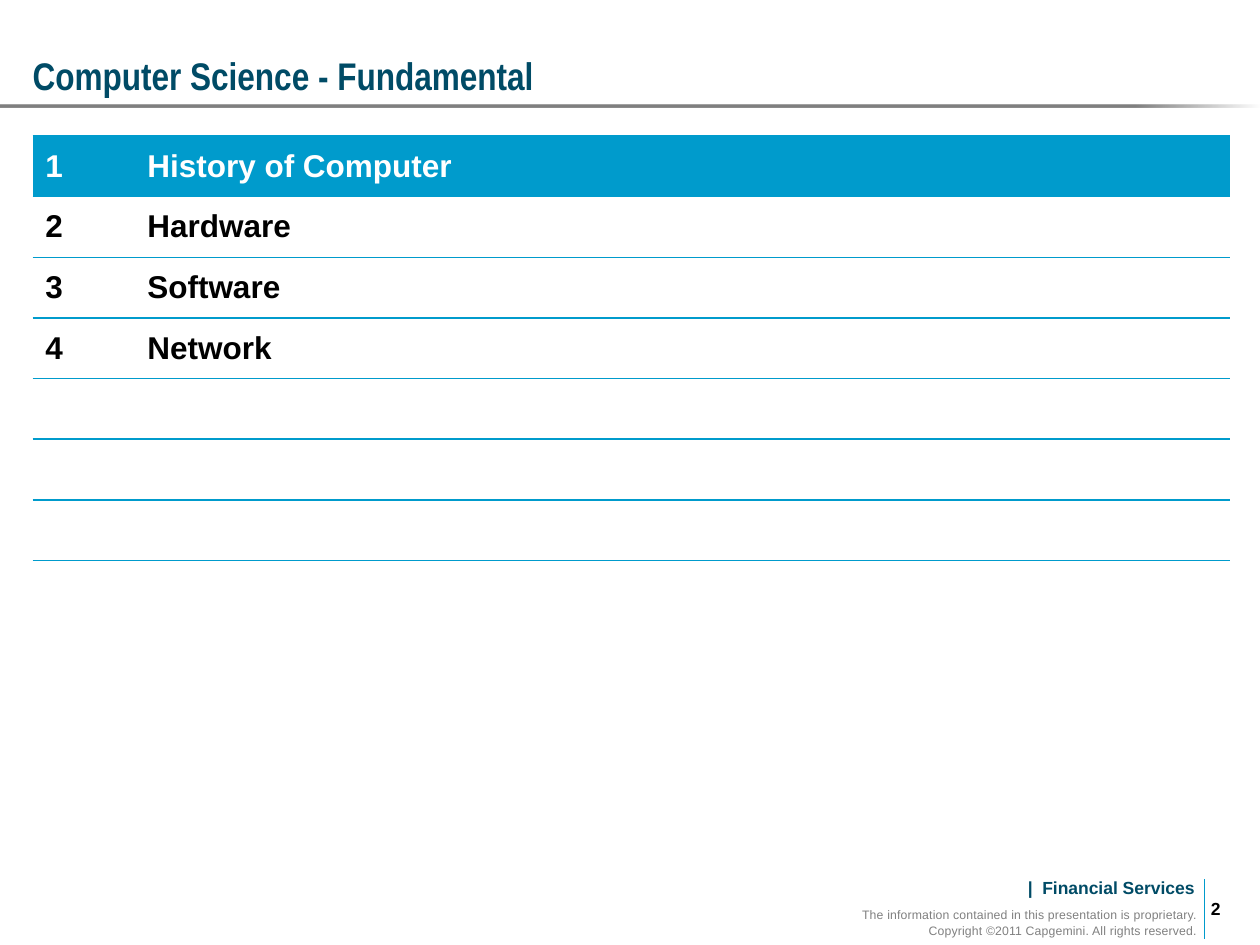
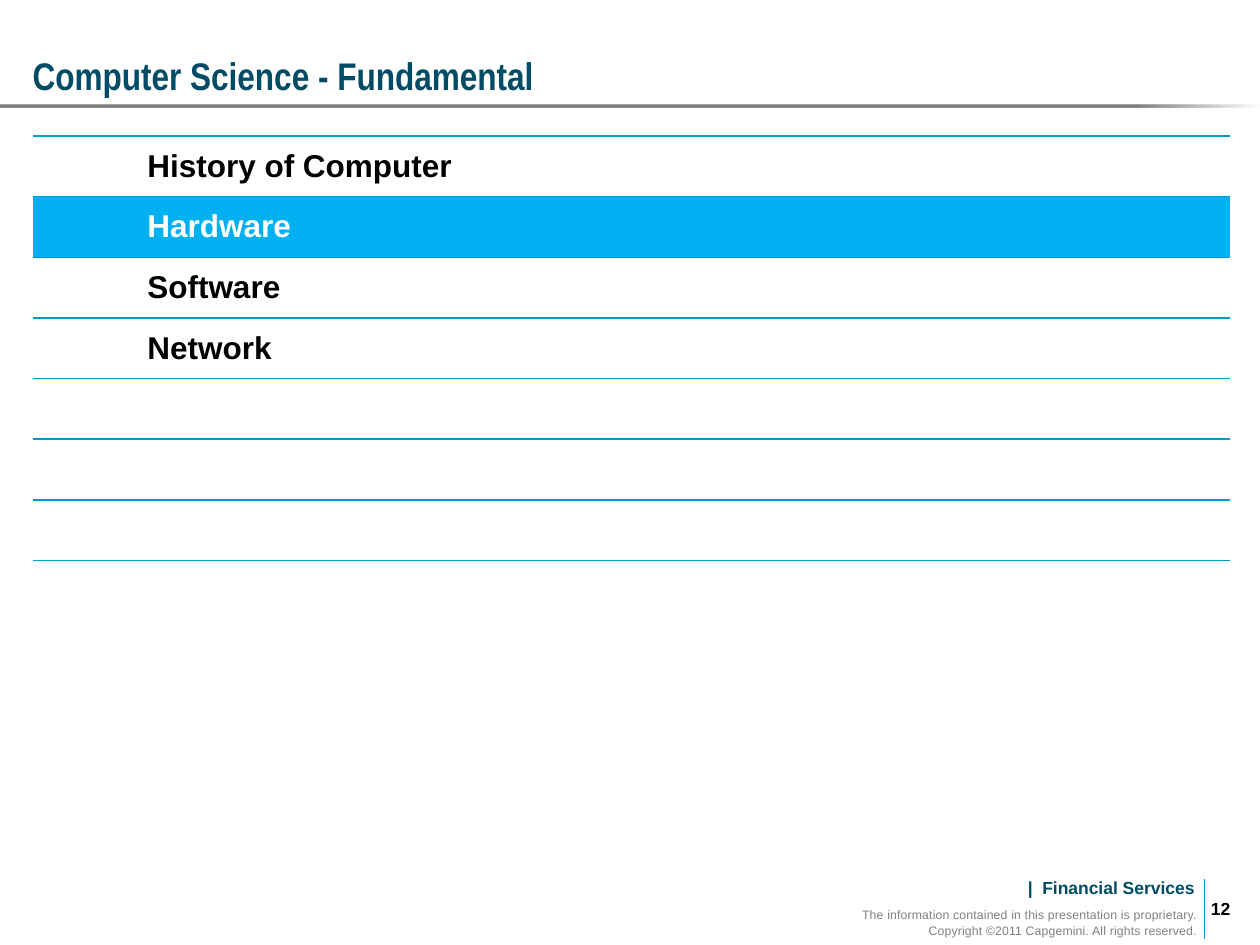
from lxml import etree
from pptx import Presentation
from pptx.dml.color import RGBColor
from pptx.enum.shapes import MSO_CONNECTOR, MSO_SHAPE
from pptx.enum.text import MSO_ANCHOR as ANCHOR, PP_ALIGN as ALIGN
from pptx.oxml import parse_xml
from pptx.oxml.ns import nsdecls, qn
from pptx.util import Inches, Pt

TEAL = RGBColor(0x00, 0x4B, 0x66)
BLUE = RGBColor(0x00, 0x9B, 0xCC)
SKY = RGBColor(0x00, 0xB0, 0xF0)
GREY = RGBColor(0x80, 0x80, 0x80)
BLACK = RGBColor(0x00, 0x00, 0x00)
WHITE = RGBColor(0xFF, 0xFF, 0xFF)

TITLE = "Computer Science - Fundamental"
TOPICS = ["History of Computer", "Hardware", "Software", "Network"]
ROW_COUNT = 7
NO_STYLE = "{2D5ABB26-0587-4C30-8999-92F81FD0307C}"
NOTICE = ("The information contained in this presentation is proprietary.\n"
          "Copyright ©2011 Capgemini. All rights reserved.")

# Page number, current topic, its colour, whether topics are numbered
AGENDAS = [(2, 0, BLUE, True), (12, 1, SKY, False)]


def style_text(frame, text, size, color, font="Arial", bold=True, align=ALIGN.LEFT):
    frame.text = text
    for paragraph in frame.paragraphs:
        paragraph.alignment = align
        for run in paragraph.runs:
            run.font.name = font
            run.font.size = Pt(size)
            run.font.bold = bold
            run.font.color.rgb = color


def add_text(slide, box, insets, text, size, color, anchor=ANCHOR.TOP, wrap=True, **look):
    frame = slide.shapes.add_textbox(*map(Inches, box)).text_frame
    frame.word_wrap = wrap
    frame.vertical_anchor = anchor
    (frame.margin_left, frame.margin_top,
     frame.margin_right, frame.margin_bottom) = map(Inches, insets)
    style_text(frame, text, size, color, **look)
    return frame


prs = Presentation()
prs.slide_width, prs.slide_height = Inches(10), Inches(7.5)

for page, current, highlight, numbered in AGENDAS:
    slide = prs.slides.add_slide(prs.slide_layouts[6])

    # Rule under the title, fading out at the right
    rule = slide.shapes.add_shape(MSO_SHAPE.RECTANGLE, 0, Inches(0.83), Inches(10), Inches(0.02))
    rule.shadow.inherit = False
    rule.line.fill.background()
    rule.fill.solid()
    solid = rule._element.spPr.find(qn("a:solidFill"))
    stops = "".join(
        f'<a:gs pos="{pos}000"><a:srgbClr val="{GREY}"><a:alpha val="{alpha}000"/></a:srgbClr></a:gs>'
        for pos, alpha in [(40, 100), (90, 100), (100, 0)])
    solid.getparent().replace(solid, parse_xml(
        f'<a:gradFill {nsdecls("a")}><a:gsLst>{stops}</a:gsLst><a:lin ang="0"/></a:gradFill>'))

    # Footer
    add_text(slide, (8.11, 6.91, 1.42, 0.27), (0.04, 0.05, 0.05, 0.05),
             "|  Financial Services", 10, TEAL, wrap=False, align=ALIGN.RIGHT)
    divider = slide.shapes.add_connector(
        MSO_CONNECTOR.STRAIGHT, Inches(9.56), Inches(6.98), Inches(9.56), Inches(7.45))
    divider.line.color.rgb = BLUE
    divider.line.width = Pt(0.75)
    etree.SubElement(divider._element.spPr, qn("a:effectLst"))
    notice = add_text(slide, (6.65, 7.17, 2.87, 0.25), (0.02,) * 4,
                      NOTICE, 7, GREY, bold=False, align=ALIGN.RIGHT)
    for paragraph in notice.paragraphs:
        paragraph.line_spacing = Pt(9)
        for run in paragraph.runs:
            run.font._element.set("spc", "10")
    add_text(slide, (9.61, 7.12, 0.31, 0.18), (0, 0.01, 0, 0.01),
             str(page), 10, BLACK, anchor=ANCHOR.MIDDLE)

    # Agenda table with the current topic highlighted
    agenda = slide.shapes.add_table(
        ROW_COUNT, 2, Inches(0.26), Inches(1.08), Inches(9.5), Inches(3.37)).table
    agenda.first_row = agenda.horz_banding = False
    agenda._tbl.tblPr.find(qn("a:tableStyleId")).text = NO_STYLE
    agenda.columns[0].width, agenda.columns[1].width = Inches(0.81), Inches(8.69)
    for index in range(ROW_COUNT):
        topic = TOPICS[index] if index < len(TOPICS) else ""
        number = str(index + 1) if numbered and topic else ""
        for column, text in enumerate([number, topic]):
            cell = agenda.cell(index, column)
            cell.vertical_anchor = ANCHOR.MIDDLE
            style_text(cell.text_frame, text, 18, WHITE if index == current else BLACK)
            for side in ("lnT", "lnB"):
                cell._tc.get_or_add_tcPr().append(parse_xml(
                    f'<a:{side} {nsdecls("a")} w="{Pt(1)}"><a:solidFill>'
                    f'<a:srgbClr val="{BLUE}"/></a:solidFill></a:{side}>'))
            if index == current:
                cell.fill.solid()
                cell.fill.fore_color.rgb = highlight
            else:
                cell.fill.background()

    # Title
    add_text(slide, (0.26, 0.23, 9.53, 0.6), (0, 0.05, 0.1, 0.05),
             TITLE, 22, TEAL, anchor=ANCHOR.BOTTOM, font="Arial Narrow")

prs.save("out.pptx")
